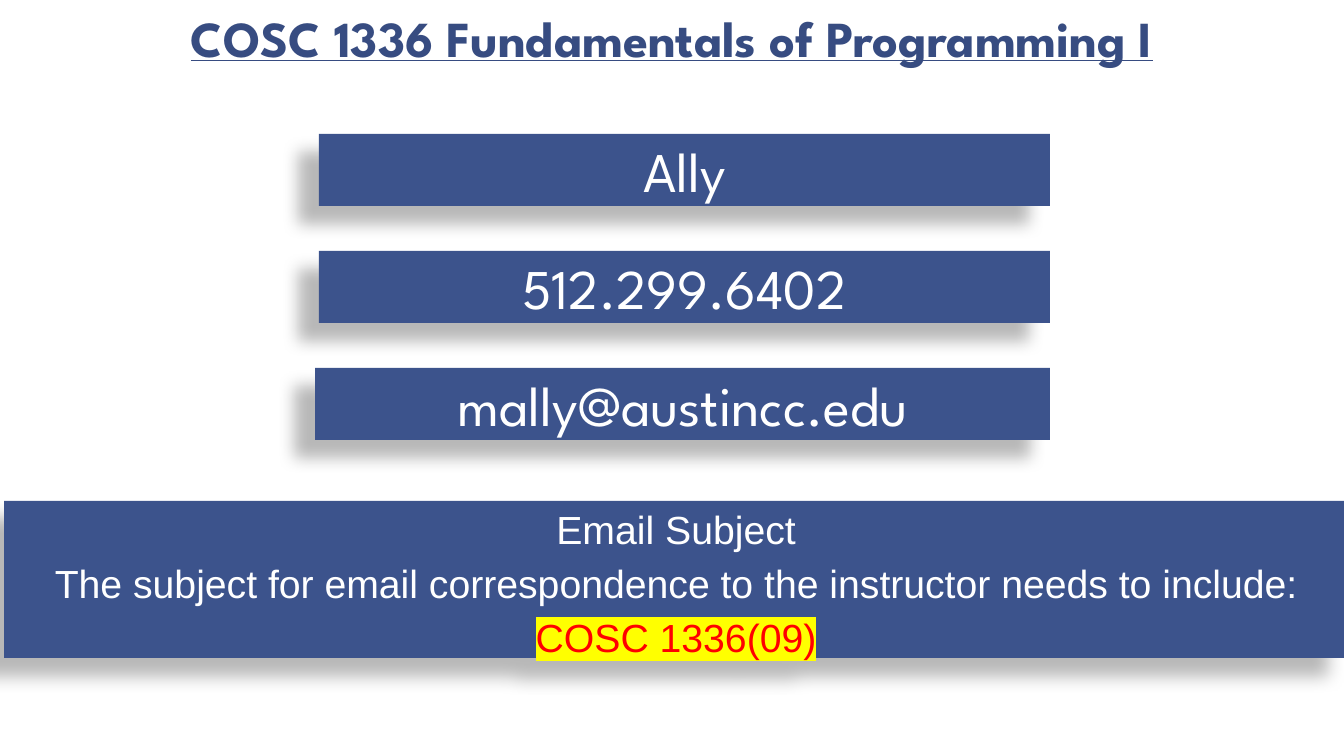
import pptx
import pptx.dml.color
import pptx.enum.shapes
import pptx.enum.text
import pptx.oxml.ns
import pptx.util
from lxml import etree

PX = 914400 / 100.8
PAGE_WIDTH, PAGE_HEIGHT = 1344, 756
NAVY, WHITE = "3C538C", "FFFFFF"
HEADING_FONT = "League Spartan"
CENTER = pptx.enum.text.PP_ALIGN.CENTER
MIDDLE = pptx.enum.text.MSO_ANCHOR.MIDDLE
TOP = pptx.enum.text.MSO_ANCHOR.TOP


def px(length):
    return pptx.util.Emu(round(length * PX))


def color(value):
    return pptx.dml.color.RGBColor.from_string(value)


def assign(target, values):
    for name, value in values.items():
        setattr(target, name, value)


def place(shape, box):
    assign(shape, dict(zip(("left", "top", "width", "height"), map(px, box))))


def add_element(parent, tag, **attributes):
    return etree.SubElement(parent, pptx.oxml.ns.qn(tag), attributes)


def add_span(para, text, font, size, ink, **style):
    span = para.add_run()
    span.text = text
    assign(span.font, {"name": font, "size": pptx.util.Pt(size), **style})
    span.font.color.rgb = color(ink)
    return span


def highlight(span, value):
    mark = etree.Element(pptx.oxml.ns.qn("a:highlight"))
    add_element(mark, "a:srgbClr", val=value)
    span.font.fill._xPr.find(pptx.oxml.ns.qn("a:solidFill")).addnext(mark)


def add_shadow(shape):
    shape.shadow.inherit = False
    effects = shape._element.spPr.find(pptx.oxml.ns.qn("a:effectLst"))
    shadow = add_element(
        effects, "a:outerShdw", blurRad="149860", dist="250190",
        dir="8460000", algn="ctr", rotWithShape="0",
    )
    shade = add_element(shadow, "a:srgbClr", val="000000")
    add_element(shade, "a:alpha", val="28000")


def add_panel(page, box):
    panel = page.shapes.add_shape(
        pptx.enum.shapes.MSO_SHAPE.RECTANGLE, *map(px, box))
    panel.fill.solid()
    panel.fill.fore_color.rgb = color(NAVY)
    panel.line.fill.background()
    add_shadow(panel)
    assign(panel.text_frame, {"word_wrap": True, "vertical_anchor": MIDDLE})
    return panel.text_frame


def add_contact(page, box, text):
    para = add_panel(page, box).paragraphs[0]
    para.alignment = CENTER
    add_span(para, text, HEADING_FONT, 40, WHITE)


def add_email_rule(page, box):
    frame = add_panel(page, box)
    heading, rule = frame.paragraphs[0], frame.add_paragraph()
    for para in (heading, rule):
        assign(para, {"alignment": CENTER, "line_spacing": 1.15})
    add_span(heading, "Email Subject", "Arial", 28, WHITE)
    add_span(rule, "The subject for email correspondence to the instructor "
             "needs to include: ", "Arial", 28, WHITE)
    highlight(add_span(rule, "COSC 1336(09)", "Arial", 28, "FF0000"), "FFFF00")


def add_title(page, box):
    title = page.shapes.title
    place(title, box)
    assign(title.text_frame, {
        "word_wrap": True,
        "vertical_anchor": TOP,
        "auto_size": pptx.enum.text.MSO_AUTO_SIZE.SHAPE_TO_FIT_TEXT,
    })
    para = title.text_frame.paragraphs[0]
    para.alignment = CENTER
    add_span(para, "COSC 1336 Fundamentals of Programming I", HEADING_FONT,
             36, "374C81", bold=True, underline=True)


def build_contact_page(deck):
    page = deck.slides.add_slide(deck.slide_layouts.get_by_name("Title Only"))
    right, top, height, step = 1050, 134, 72, 117
    contacts = [("Ally", 319), ("512.299.6402", 319), ("mally@austincc.edu", 315)]
    for row, (text, left) in enumerate(contacts):
        add_contact(page, (left, top + row * step, right - left, height), text)
    add_email_rule(page, (4, 501, PAGE_WIDTH, 157))
    add_title(page, (0, 2, PAGE_WIDTH, 72))


def main():
    deck = pptx.Presentation()
    assign(deck, {"slide_width": px(PAGE_WIDTH), "slide_height": px(PAGE_HEIGHT)})
    build_contact_page(deck)
    deck.save("out.pptx")


if __name__ == "__main__":
    main()
